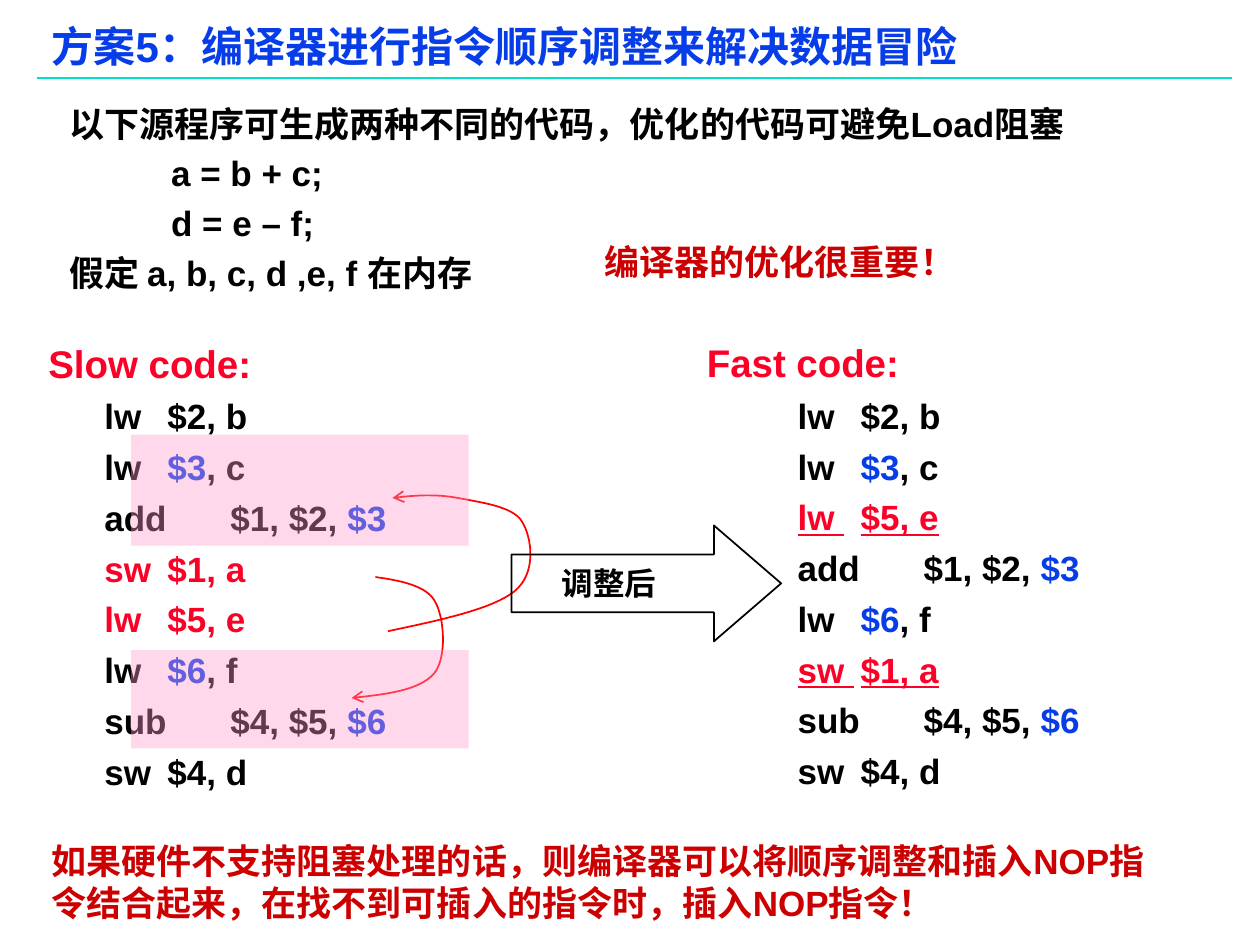
import pptx
import pptx.dml.color
import pptx.enum.dml
import pptx.enum.shapes
import pptx.enum.text
import pptx.util
from lxml import etree
from pptx.oxml.ns import qn

COLUMNS, ROWS = 100, 75
BLACK, BLUE, RED, DARK_RED = "000000", "063DE8", "FC0128", "CC0000"

deck = pptx.Presentation()
deck.slide_width = pptx.util.Inches(10)
deck.slide_height = pptx.util.Inches(7.5)


def across(columns):
    return round(deck.slide_width * columns / COLUMNS)


def down(rows):
    return round(deck.slide_height * rows / ROWS)


def place(box):
    """Turn (left, top, width, height) in grid cells into lengths."""
    left, top, width, height = box
    return across(left), down(top), across(width), down(height)


def rgb(colour):
    return pptx.dml.color.RGBColor.from_string(colour)


def write(para, text, size=20, colour=BLACK, font="Arial", underline=None):
    span = para.add_run()
    span.text = text
    span.font.name = font
    span.font.size = pptx.util.Pt(size)
    span.font.bold = True
    span.font.underline = underline
    span.font.color.rgb = rgb(colour)


def frame_text(shape, inset=(0.1, 0.05)):
    frame = shape.text_frame
    frame.word_wrap = True
    frame.margin_left = frame.margin_right = pptx.util.Inches(inset[0])
    frame.margin_top = frame.margin_bottom = pptx.util.Inches(inset[1])
    return frame


def next_para(frame, before=0, spacing=None, hanging=0):
    """Use the empty first paragraph, or add one with space before it."""
    first = not frame.paragraphs[0].runs
    para = frame.paragraphs[0] if first else frame.add_paragraph()
    para.space_before = pptx.util.Pt(0 if first else before)
    if spacing:
        para.line_spacing = spacing
    if hanging:
        indent = pptx.util.Inches(hanging)
        properties = para._p.get_or_add_pPr()
        properties.set("marL", str(indent))
        properties.set("indent", str(-indent))
    return para


def add_note(page, box, text, **style):
    shape = page.shapes.add_textbox(*place(box))
    write(next_para(frame_text(shape)), text, **style)


def add_heading(page, box, text):
    left, top, width, height = box
    title = page.shapes.title
    title.left, title.top, title.width, title.height = place(box)
    frame = frame_text(title, (0.07, 0.03))
    frame.vertical_anchor = pptx.enum.text.MSO_ANCHOR.MIDDLE
    para = next_para(frame, spacing=0.87)
    para.alignment = pptx.enum.text.PP_ALIGN.LEFT
    write(para, text, size=24, colour=BLUE)

    rule_y = down(top + height + 0.3)
    rule = page.shapes.add_connector(
        pptx.enum.shapes.MSO_CONNECTOR.STRAIGHT,
        across(left - 0.5), rule_y, across(97.8), rule_y)
    rule.line.color.rgb = rgb("00DFCA")
    rule.line.width = pptx.util.Pt(1)
    etree.SubElement(rule._element.spPr, qn("a:effectLst"))


def add_intro(page, box, lines):
    frame = frame_text(page.shapes.add_textbox(*place(box)))
    for line in lines:
        write(next_para(frame, 6.8, spacing=0.9, hanging=0.31), line)


def add_code(page, box, heading, instructions, indent="\t", hanging=0,
             underline=None, inset=(0.1, 0.05), lead=""):
    """List instructions given as (operation, operands, register, rest, moved)."""
    frame = frame_text(page.shapes.add_textbox(*place(box)), inset)
    para = next_para(frame, spacing=0.9 if hanging else None, hanging=hanging)
    if lead:
        write(para, lead, size=16, font="Times New Roman")
    write(para, heading, size=22, colour=RED)
    for operation, operands, register, rest, moved in instructions:
        para = next_para(frame, 5, hanging=hanging)
        write(para, indent)
        write(para, f"{operation} \t{operands}",
              colour=RED if moved else BLACK,
              underline=underline if moved else None)
        if register:
            write(para, register, colour=BLUE)
        if rest:
            write(para, rest)


def bezier(points, steps=16):
    """Sample a chain of cubic curves: a start, then three points per curve."""
    for first in range(0, len(points) - 1, 3):
        p0, p1, p2, p3 = points[first:first + 4]
        for step in range(1, steps + 1):
            t = step / steps
            s = 1 - t
            yield tuple(s**3 * a + 3 * s * s * t * b + 3 * s * t * t * c + t**3 * d
                        for a, b, c, d in zip(p0, p1, p2, p3))


def add_move_curve(page, box, shares):
    """Draw a curved arrow through points given as shares of the box."""
    left, top, width, height = box
    points = [(across(left + x * width), down(top + y * height)) for x, y in shares]
    builder = page.shapes.build_freeform(*points[0])
    builder.add_line_segments(
        [(round(x), round(y)) for x, y in bezier(points)], close=False)
    curve = builder.convert_to_shape()
    curve.shadow.inherit = False
    curve.fill.background()
    curve.line.color.rgb = rgb("FF0000")
    curve.line.width = pptx.util.Pt(1)
    etree.SubElement(curve.line._get_or_add_ln(), qn("a:tailEnd"), type="arrow")


def add_step_arrow(page, box, text):
    left, top, width, height = box
    arrow = page.shapes.add_shape(
        pptx.enum.shapes.MSO_SHAPE.RIGHT_ARROW, *place(box))
    arrow.adjustments[0], arrow.adjustments[1] = 0.5, 0.58
    arrow.shadow.inherit = False
    arrow.fill.background()
    arrow.line.color.rgb = rgb(BLACK)
    arrow.line.width = pptx.util.Pt(1)
    label = (left + 0.14 * width, top + 0.28 * height, 0.52 * width, 0.44 * height)
    add_note(page, label, text, size=18, font="Times New Roman")


def add_highlight(page, box):
    band = page.shapes.add_shape(pptx.enum.shapes.MSO_SHAPE.RECTANGLE, *place(box))
    band.shadow.inherit = False
    band.line.fill.background()
    band.fill.solid()
    band.fill.fore_color.rgb = rgb("FF99CC")
    colour = band._element.spPr.find(".//" + qn("a:srgbClr"))
    etree.SubElement(colour, qn("a:alpha"), val="38000")


def main():
    page = deck.slides.add_slide(deck.slide_layouts[5])
    add_heading(page, (3.4, 1.9, 82, 4), "方案5：编译器进行指令顺序调整来解决数据冒险")
    add_intro(page, (4.5, 8, 87.3, 16), [
        "以下源程序可生成两种不同的代码，优化的代码可避免Load阻塞",
        "\t\ta = b + c;",
        "\t\td = e – f;",
        "假定 a, b, c, d ,e, f 在内存",
    ])

    slow = [
        ("lw", "$2, b", "", "", False),
        ("lw", "", "$3", ", c", False),
        ("add", "$1, $2, ", "$3", "", False),
        ("sw", "$1, a", "", "", True),
        ("lw", "$5, e", "", "", True),
        ("lw", "", "$6", ", f", False),
        ("sub", "$4, $5, ", "$6", "", False),
        ("sw", "$4, d", "", "", False),
    ]
    fast = [slow[number] for number in (0, 1, 4, 2, 5, 3, 6, 7)]
    add_code(page, (55.4, 27, 39.2, 36.2), "Fast code:", fast, indent="\t\t",
             hanging=0.22, underline=True, inset=(0.07, 0.03))
    add_move_curve(page, (30.8, 39.2, 11.8, 10.9), [
        (0, 1), (0.35, 0.92), (0.7, 0.84), (0.85, 0.71), (1, 0.58), (0.97, 0.32),
        (0.9, 0.2), (0.84, 0.09), (0.61, 0.06), (0.47, 0.03), (0.32, 0),
        (0.18, 0.01), (0.03, 0.03)])
    add_move_curve(page, (27.9, 45.8, 7.6, 9.6), [
        (0.25, 0), (0.51, 0.03), (0.78, 0.07), (0.87, 0.2), (0.97, 0.33),
        (1, 0.67), (0.86, 0.8), (0.7, 0.94), (0.36, 0.97), (0, 1)])
    add_code(page, (2.3, 26.5, 44.9, 37), "Slow code:", slow, lead=" ")
    add_step_arrow(page, (40.6, 41.7, 21.4, 9.2), "调整后")
    add_note(page, (47, 18.6, 40.3, 4.3), "编译器的优化很重要！", colour=DARK_RED)
    add_highlight(page, (10.4, 34.5, 26.8, 8.8))
    add_highlight(page, (10.4, 51.6, 26.8, 7.8))
    add_note(page, (3.1, 66.1, 91.4, 7.7),
             "如果硬件不支持阻塞处理的话，则编译器可以将顺序调整和插入NOP指令结合起来，"
             "在找不到可插入的指令时，插入NOP指令！", colour=DARK_RED)
    deck.save("out.pptx")


if __name__ == "__main__":
    main()
